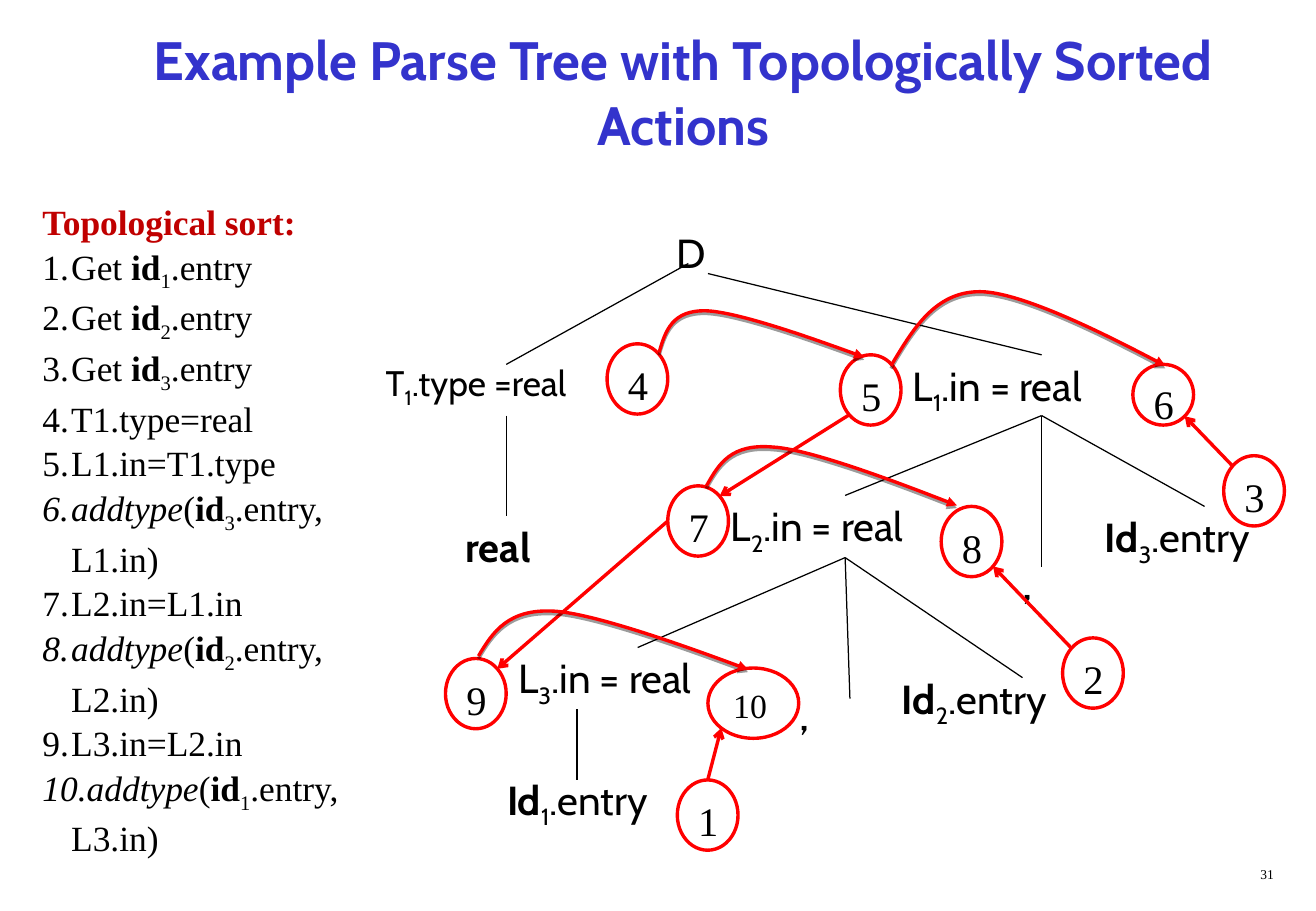
from lxml import etree
from pptx import Presentation
from pptx import util as u
from pptx.dml.color import RGBColor
from pptx.enum import shapes, text
from pptx.oxml.ns import qn

BLACK = RGBColor(0x00, 0x00, 0x00)
WHITE = RGBColor(0xFF, 0xFF, 0xFF)
RED = RGBColor(0xFF, 0x00, 0x00)
DARK_RED = RGBColor(0xC0, 0x00, 0x00)
BLUE = RGBColor(0x33, 0x33, 0xCC)
SANS, SERIF = "Cabin", "Times New Roman"
DIAGONAL = 0.5 ** 0.5

# Tree labels: runs of (text, style), left, top, width, height, size, indent
LABELS = [
    ([("D", "")], 13.34, 4.65, 1.88, 1.27, 24, 0.57),
    ([("L", ""), ("1", "s"), (".in = real", "")], 18.85, 7.42, 5.92, 1.42, 24, 0),
    ([("T", ""), ("1", "s"), (".type =real", "")], 7.82, 7.42, 5.92, 1.27, 21, 0),
    ([("real", "b")], 9.09, 10.8, 2.62, 1.27, 24, 0.4),
    ([("L", ""), ("2", "s"), (".in = real", "")], 15.04, 10.36, 5.28, 1.42, 24, 0),
    ([("Id", "b"), ("3", "s"), (".entry", "")], 22.86, 10.59, 4.65, 1.42, 24, 0),
    ([(",", "")], 20.75, 11.43, 1.88, 1.45, 28, 0.4),
    ([("L", ""), ("3", "s"), (".in = real", "")], 10.59, 13.54, 5.51, 1.42, 24, 0),
    ([(",", "")], 16.08, 14.17, 1.88, 1.45, 28, 0.4),
    ([("Id", "b"), ("2", "s"), (".entry", "")], 18.62, 13.97, 4.65, 1.42, 24, 0),
    ([("Id", "b"), ("1", "s"), (".entry", "")], 10.36, 16.08, 4.65, 1.42, 24, 0),
]

# Parent point and the points of its children
BRANCHES = [
    ((14.4, 5.51), [(10.59, 7.62)]),
    ((14.81, 5.72), [(21.79, 7.42)]),
    ((10.59, 8.69), [(10.59, 10.8)]),
    ((17.68, 11.66), [(13.34, 13.54), (17.78, 14.61), (21.39, 14.17)]),
    ((21.79, 8.69), [(17.68, 10.36), (25.2, 10.59), (21.79, 11.86)]),
    ((12.07, 14.83), [(12.07, 16.31)]),
]

# Action number: left, top, width, height
ACTIONS = {
    1: (14.17, 16.31, 1.27, 1.47),
    3: (25.6, 9.53, 1.27, 1.47),
    2: (22.23, 13.34, 1.27, 1.47),
    6: (23.7, 7.62, 1.27, 1.27),
    5: (17.58, 7.42, 1.27, 1.47),
    4: (12.7, 7.19, 1.27, 1.47),
    7: (13.97, 10.16, 1.27, 1.47),
    9: (9.32, 13.77, 1.27, 1.47),
    10: (14.81, 13.97, 1.9, 1.47),
    8: (19.69, 10.59, 1.27, 1.47),
}

UP, LEFT = (0, -1), (-1, 0)
UP_LEFT, UP_RIGHT = (-DIAGONAL, -DIAGONAL), (DIAGONAL, -DIAGONAL)
DOWN_LEFT, DOWN_RIGHT = (-DIAGONAL, DIAGONAL), (DIAGONAL, DIAGONAL)

# Action and side where an arrow starts, action and side where it ends
DEPENDENCIES = [
    (1, UP, 10, DOWN_LEFT),
    (7, LEFT, 9, UP_RIGHT),
    (2, UP_LEFT, 8, DOWN_RIGHT),
    (3, UP_LEFT, 6, DOWN_RIGHT),
    (5, DOWN_LEFT, 7, UP_RIGHT),
]

# Start, then the control and end points of two curve pieces
ARCS = [
    [(10.01, 13.72), (10.31, 13.21), (10.64, 12.73), (11.58, 12.78),
     (12.52, 12.83), (15.65, 14), (15.65, 14)],
    [(13.79, 7.37), (13.92, 6.91), (14.07, 6.48), (14.78, 6.5),
     (15.52, 6.53), (18.08, 7.47), (18.08, 7.47)],
    [(18.64, 7.65), (19.1, 6.88), (19.56, 6.1), (20.5, 6.1),
     (21.46, 6.1), (24.38, 7.65), (24.38, 7.65)],
    [(14.78, 10.16), (15.04, 9.7), (15.29, 9.27), (16.18, 9.35),
     (17.04, 9.4), (20.02, 10.57), (20.02, 10.57)],
]


def get_entry(number):
    return [("Get ", ""), ("id", "b"), (number, "s"), (".entry", "")]


def add_type(number, level):
    return [("addtype", "i"), ("(", ""), ("id", "b"), (number, "s"),
            (f".entry, {level}.in)", "")]


SORTED_ACTIONS = [
    get_entry("1"), get_entry("2"), get_entry("3"),
    [("T1.type=real", "")], [("L1.in=T1.type", "")], add_type("3", "L1"),
    [("L2.in=L1.in", "")], add_type("2", "L2"),
    [("L3.in=L2.in", "")], add_type("1", "L3"),
]


def write(para, runs, size=24, font=SANS, color=BLACK, align=text.PP_ALIGN.LEFT,
          indent=0, numbered=False, spacing=None):
    """Add (text, style) runs; style is b bold, i italic, s subscript."""
    properties = para._p.get_or_add_pPr()
    if indent:
        properties.set("marL", str(u.Cm(indent)))
    if numbered:
        properties.set("indent", str(-u.Cm(indent)))
        etree.SubElement(properties, qn("a:buAutoNum"), type="arabicPeriod")
    para.alignment = align
    if spacing:
        para.line_spacing = spacing
    for words, style in runs:
        span = para.add_run()
        span.text = words
        span.font.size = u.Pt(size)
        span.font.name = font
        span.font.color.rgb = color
        span.font.bold = style == "b"
        span.font.italic = style == "i"
        if style == "s":
            span.font._element.set("baseline", "-25000")


def add_box(page, left, top, width, height, anchor=text.MSO_ANCHOR.TOP):
    box = page.shapes.add_textbox(u.Cm(left), u.Cm(top), u.Cm(width), u.Cm(height))
    box.text_frame.word_wrap = True
    box.text_frame.vertical_anchor = anchor
    return box.text_frame


def add_line(page, start, end, color=BLACK, width=0.75, head=None):
    line = page.shapes.add_connector(
        shapes.MSO_CONNECTOR.STRAIGHT, *(u.Cm(value) for value in (*start, *end)))
    etree.SubElement(style_line(line, color, width, head), qn("a:effectLst"))


def style_line(shape, color, width, head):
    """Format the outline and return the shape's properties element."""
    shape.line.color.rgb = color
    shape.line.width = u.Pt(width)
    properties = shape._element.spPr
    if head:
        etree.SubElement(properties.find(qn("a:ln")), qn("a:tailEnd"), type=head)
    return properties


def add_action(page, number):
    oval = page.shapes.add_shape(
        shapes.MSO_SHAPE.OVAL, *(u.Cm(value) for value in ACTIONS[number]))
    oval.shadow.inherit = False
    oval.fill.solid()
    oval.fill.fore_color.rgb = WHITE
    style_line(oval, RED, 2, None)
    oval.text_frame.vertical_anchor = text.MSO_ANCHOR.TOP
    write(oval.text_frame.paragraphs[0], [(str(number), "")],
          size=20 if number == 10 else 24, font=SERIF)


def rim_point(number, side):
    left, top, width, height = ACTIONS[number]
    return left + width / 2 * (1 + side[0]), top + height / 2 * (1 + side[1])


def add_arc(page, points):
    """Draw the points as cubic curves ending in a shadowed arrow."""
    start, *rest = [(u.Cm(x), u.Cm(y)) for x, y in points]
    builder = page.shapes.build_freeform(*start)
    builder.add_line_segments(rest, close=False)
    arc = builder.convert_to_shape()
    arc.fill.background()
    properties = style_line(arc, RED, 2, "triangle")
    outline = next(properties.iter(qn("a:path")))
    segments = outline.findall(qn("a:lnTo"))
    for first in range(0, len(segments), 3):
        curve = etree.SubElement(outline, qn("a:cubicBezTo"))
        for segment in segments[first:first + 3]:
            curve.append(segment[0])
            outline.remove(segment)
    effects = etree.SubElement(properties, qn("a:effectLst"))
    shadow = etree.SubElement(effects, qn("a:outerShdw"), blurRad="0",
                              dist=str(u.Pt(1.6)), dir="5400000", rotWithShape="0")
    shade = etree.SubElement(shadow, qn("a:srgbClr"), val=str(BLACK))
    etree.SubElement(shade, qn("a:alpha"), val="38000")


def add_sorted_list(page):
    frame = add_box(page, 0.64, 4.01, 8.05, 13.44)
    write(frame.paragraphs[0], [("Topological sort:", "b")], size=21, font=SERIF,
          color=DARK_RED, spacing=1.05)
    for runs in SORTED_ACTIONS:
        write(frame.add_paragraph(), runs, size=21, font=SERIF, indent=0.6,
              numbered=True, spacing=1.05)


def main():
    deck = Presentation()
    deck.slide_width, deck.slide_height = u.Cm(27.53), u.Cm(19.05)
    page = deck.slides.add_slide(deck.slide_layouts[6])

    title = add_box(page, 1.6, 0.64, 25.4, 2.54, text.MSO_ANCHOR.MIDDLE)
    write(title.paragraphs[0],
          [("Example Parse Tree with Topologically Sorted Actions", "b")],
          size=32, color=BLUE, align=text.PP_ALIGN.CENTER)
    for runs, left, top, width, height, size, indent in LABELS:
        label = add_box(page, left, top, width, height)
        write(label.paragraphs[0], runs, size=size, indent=indent)
    for parent, children in BRANCHES:
        for child in children:
            add_line(page, parent, child)
    for number in ACTIONS:
        add_action(page, number)
    for source, source_side, target, target_side in DEPENDENCIES:
        add_line(page, rim_point(source, source_side), rim_point(target, target_side),
                 RED, 2, "arrow")
    for points in ARCS:
        add_arc(page, points)
    add_sorted_list(page)
    page_number = add_box(page, 21.16, 17.98, 5.74, 0.64)
    write(page_number.paragraphs[0], [("31", "")], size=8, font=SERIF,
          align=text.PP_ALIGN.RIGHT)
    deck.save("out.pptx")


if __name__ == "__main__":
    main()
